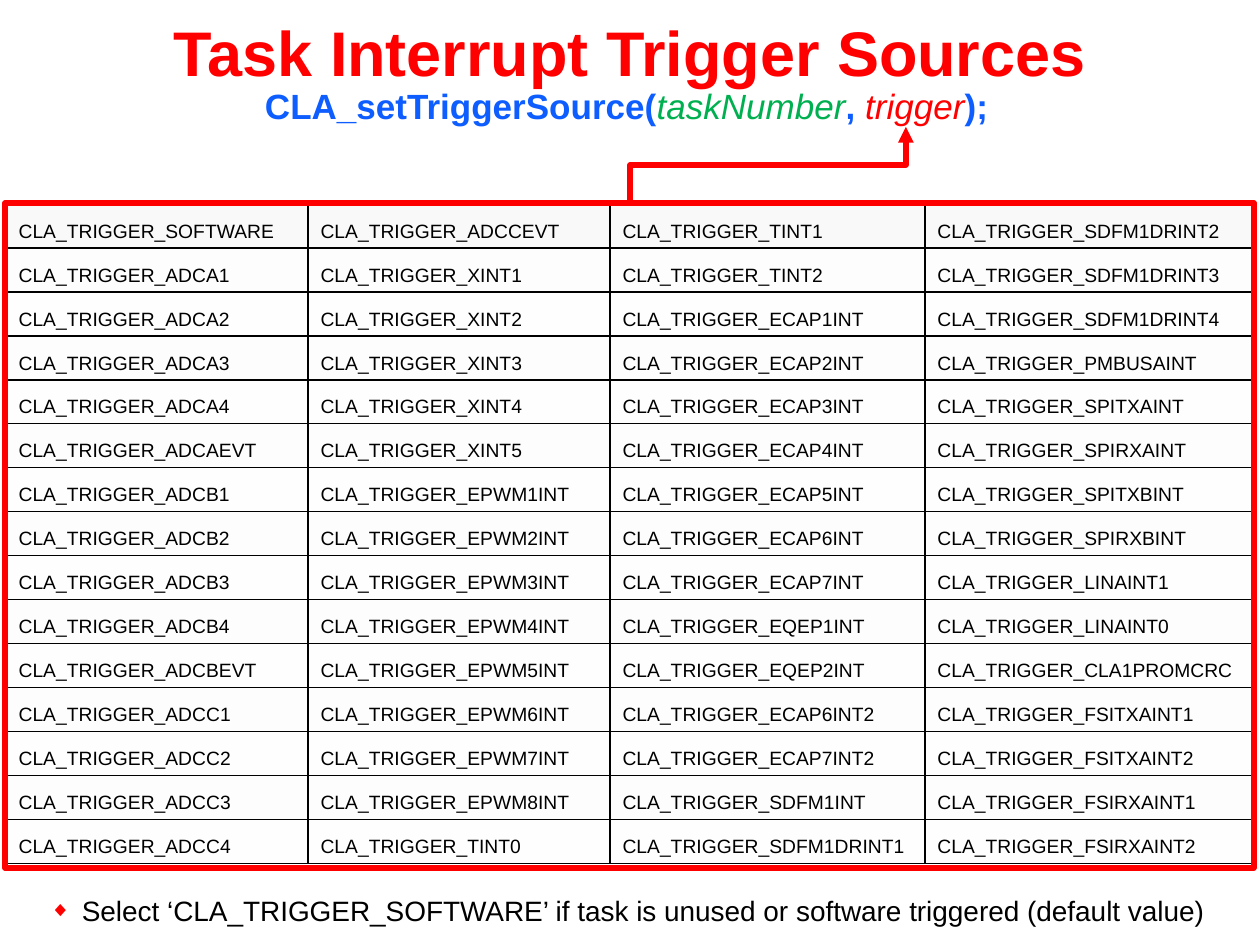
import pptx
import pptx.util
import pptx.dml.color
import pptx.enum.shapes
import pptx.enum.text
import pptx.oxml
import pptx.oxml.ns
from lxml import etree

# Content
TITLE = "Task Interrupt Trigger Sources"
NOTE = "Select ‘CLA_TRIGGER_SOFTWARE’ if task is unused or software triggered (default value)"
CALL = [("CLA_setTriggerSource(", "code"), ("taskNumber", "task"), (", ", "code"),
        ("trigger", "accent"), (");", "code")]
PREFIX = "CLA_TRIGGER_"
TRIGGERS = [  # one string per table column
    "SOFTWARE ADCA1 ADCA2 ADCA3 ADCA4 ADCAEVT ADCB1 ADCB2 ADCB3 ADCB4 "
    "ADCBEVT ADCC1 ADCC2 ADCC3 ADCC4",
    "ADCCEVT XINT1 XINT2 XINT3 XINT4 XINT5 EPWM1INT EPWM2INT EPWM3INT EPWM4INT "
    "EPWM5INT EPWM6INT EPWM7INT EPWM8INT TINT0",
    "TINT1 TINT2 ECAP1INT ECAP2INT ECAP3INT ECAP4INT ECAP5INT ECAP6INT ECAP7INT EQEP1INT "
    "EQEP2INT ECAP6INT2 ECAP7INT2 SDFM1INT SDFM1DRINT1",
    "SDFM1DRINT2 SDFM1DRINT3 SDFM1DRINT4 PMBUSAINT SPITXAINT SPIRXAINT SPITXBINT SPIRXBINT "
    "LINAINT1 LINAINT0 CLA1PROMCRC FSITXAINT1 FSITXAINT2 FSIRXAINT1 FSIRXAINT2",
]

THEME = {
    "font": "Arial",
    "color": {"accent": "FF0000", "code": "0D5DFF", "task": "00B050", "text": "000000",
              "head": "F9F9F9", "odd": "FDFDFD", "even": "FEFEFE"},
    "size": {"title": 36, "call": 20, "note": 16, "cell": 11},
    "line": {"frame": 3, "grid": 1},
}

# Layout in px, 126 to the inch
EMU_PER_PX = 914400 // 126
SLIDE_W, SLIDE_H = 1260, 945
COL_W, ROW_H = [302, 302, 315, 328], 44
TABLE_X, TABLE_Y = 6, 204
FRAME = (5, 203, 1249, 665)
TITLE_BOX = (0, 0, 1260, 102)
CALL_BOX = (208, 86, 837, 47)
NOTE_BOX = (32, 885, 1191, 50)
ARROW_FROM, ARROW_TO = (630, 203), (906, 127)

ANCHOR = pptx.enum.text.MSO_ANCHOR
CENTER = pptx.enum.text.PP_ALIGN.CENTER


def px(n):
    return pptx.util.Emu(round(n * EMU_PER_PX))


def rgb(name):
    return pptx.dml.color.RGBColor.from_string(THEME["color"][name])


def place(sp, box):
    sp.left, sp.top, sp.width, sp.height = map(px, box)


def add_run(p, text, size, color="text", bold=False, italic=False):
    r = p.add_run()
    r.text = text
    f = r.font
    f.name, f.size = THEME["font"], pptx.util.Pt(THEME["size"][size])
    f.bold, f.italic = bold, italic
    f.color.rgb = rgb(color)


def style_line(line):
    line.color.rgb = rgb("accent")
    line.width = pptx.util.Pt(THEME["line"]["frame"])
    etree.SubElement(line._get_or_add_ln(), pptx.oxml.ns.qn("a:round"))


def add_bullet(p):
    pPr = p._p.get_or_add_pPr()
    indent = px(32)
    pPr.set("marL", str(indent))
    pPr.set("indent", str(-indent))
    ns = pptx.oxml.ns.nsdecls("a")
    for xml in (f'<a:buClr {ns}><a:srgbClr val="{THEME["color"]["accent"]}"/></a:buClr>',
                f'<a:buSzPct {ns} val="75000"/>',
                f'<a:buFont {ns} typeface="{THEME["font"]}"/>',
                f'<a:buChar {ns} char="◆"/>'):
        pPr.append(pptx.oxml.parse_xml(xml))


def add_borders(cell):
    tcPr = cell._tc.get_or_add_tcPr()
    width = pptx.util.Pt(THEME["line"]["grid"])
    for i, side in enumerate("LRTB"):
        tcPr.insert(i, pptx.oxml.parse_xml(
            f'<a:ln{side} {pptx.oxml.ns.nsdecls("a")} w="{width}"><a:solidFill>'
            f'<a:srgbClr val="{THEME["color"]["text"]}"/></a:solidFill></a:ln{side}>'))


def add_trigger_table(shapes):
    columns = [names.split() for names in TRIGGERS]
    n_rows = len(columns[0])
    table = shapes.add_table(n_rows, len(columns), px(TABLE_X), px(TABLE_Y),
                             px(sum(COL_W)), px(ROW_H * n_rows)).table
    table.first_row = table.horz_banding = False
    for row in table.rows:
        row.height = px(ROW_H)
    for c, names in enumerate(columns):
        table.columns[c].width = px(COL_W[c])
        for r, name in enumerate(names):
            cell = table.cell(r, c)
            cell.vertical_anchor = ANCHOR.BOTTOM
            cell.fill.solid()
            cell.fill.fore_color.rgb = rgb("head" if r == 0 else "odd" if r % 2 else "even")
            add_borders(cell)
            p = cell.text_frame.paragraphs[0]
            p.line_spacing = 0.8
            add_run(p, PREFIX + name, "cell")


def add_trigger_arrow(shapes):
    # A quarter turn makes the elbow leave the table vertically
    (x1, y1), (x2, y2) = ARROW_FROM, ARROW_TO
    cx, cy = (x1 + x2) / 2, (y1 + y2) / 2
    dx, dy = (y1 - y2) / 2, (x2 - x1) / 2
    cxn = shapes.add_connector(pptx.enum.shapes.MSO_CONNECTOR.ELBOW,
                               px(cx + dx), px(cy + dy), px(cx - dx), px(cy - dy))
    spPr = cxn._element.spPr
    spPr.find(pptx.oxml.ns.qn("a:xfrm")).set("rot", str(90 * 60000))
    style_line(cxn.line)
    etree.SubElement(cxn.line._get_or_add_ln(), pptx.oxml.ns.qn("a:tailEnd"), type="triangle")
    etree.SubElement(spPr, pptx.oxml.ns.qn("a:effectLst"))


def main():
    prs = pptx.Presentation()
    prs.slide_width, prs.slide_height = px(SLIDE_W), px(SLIDE_H)
    s = prs.slides.add_slide(prs.slide_layouts[1])

    # Title and note
    title, note = s.shapes.title, s.placeholders[1]
    for sp, box in ((title, TITLE_BOX), (note, NOTE_BOX)):
        place(sp, box)
        sp.text_frame.vertical_anchor = ANCHOR.MIDDLE
        sp.text_frame.paragraphs[0].alignment = CENTER
    add_run(title.text_frame.paragraphs[0], TITLE, "title", "accent", bold=True)
    p = note.text_frame.paragraphs[0]
    p.level = 1
    p.space_before = pptx.util.Pt(0)
    add_bullet(p)
    add_run(p, NOTE, "note")

    add_trigger_table(s.shapes)

    # Function call, arguments in italics
    tf = s.shapes.add_textbox(*map(px, CALL_BOX)).text_frame
    tf.word_wrap = True
    p = tf.paragraphs[0]
    p.alignment, p.line_spacing = CENTER, 0.8
    for text, color in CALL:
        is_code = color == "code"
        add_run(p, text, "call", color, bold=is_code, italic=not is_code)

    # Frame around the table
    frame = s.shapes.add_shape(pptx.enum.shapes.MSO_SHAPE.RECTANGLE, *map(px, FRAME))
    frame.shadow.inherit = False
    frame.fill.background()
    style_line(frame.line)

    add_trigger_arrow(s.shapes)
    prs.save("out.pptx")


if __name__ == "__main__":
    main()
